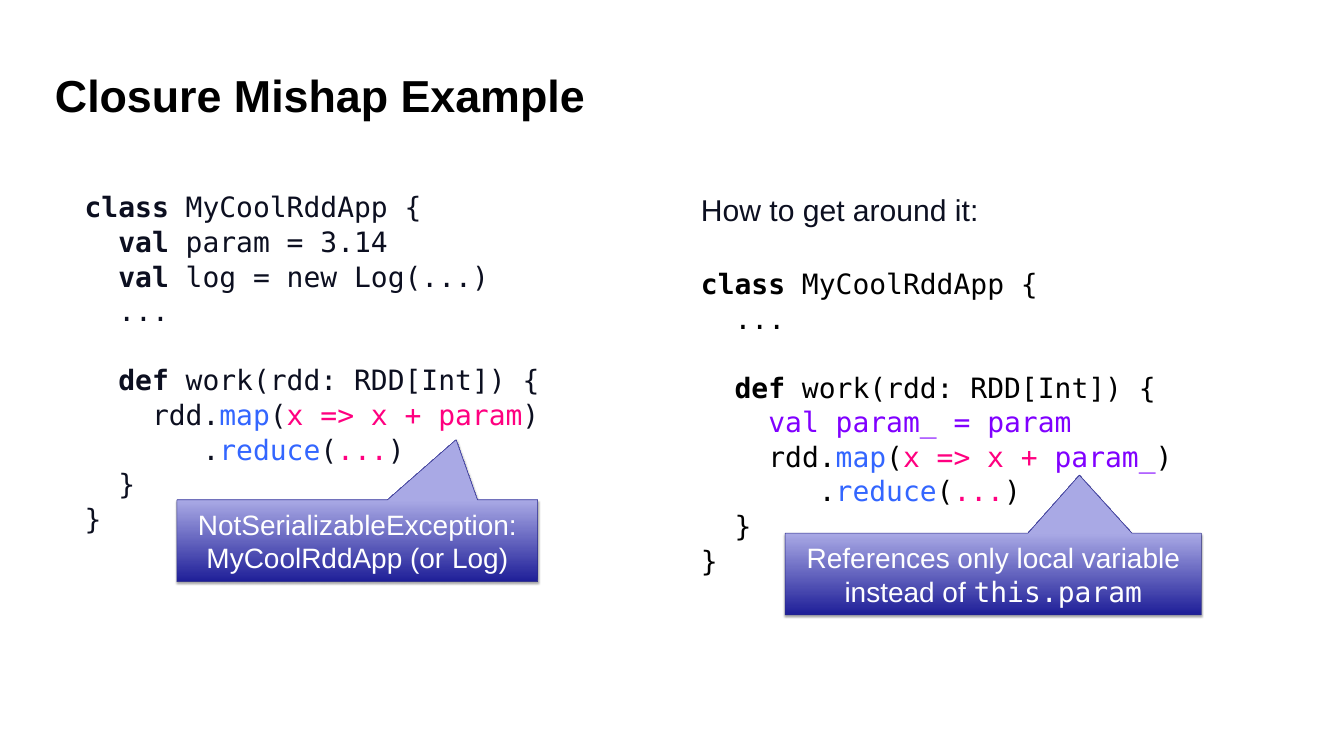
from lxml.etree import SubElement
from pptx import Presentation
from pptx.dml.color import RGBColor
from pptx.enum.shapes import MSO_SHAPE as Shape
from pptx.enum.text import MSO_ANCHOR as Anchor, MSO_AUTO_SIZE as AutoSize, PP_ALIGN as Align
from pptx.oxml.ns import qn
from pptx.util import Inches, Pt

SANS, MONO = "Arial", "DejaVu Sans Mono"
COLORS = {
    "navy": "0C0F20", "black": "000000", "white": "FFFFFF",
    "method": "3366FF", "closure": "FF0080", "local": "8000FF",
    "deep": "1F1F98", "pale": "A9A9E5", "border": "2A2A89",
}

TITLE = "Closure Mishap Example"
REDUCE = [("       .",), ("reduce", "method"), ("(",), ("...", "closure"), (")",)]
CLASS = [("class ", "keyword"), ("MyCoolRddApp {",)]
WORK = [("  ",), ("def", "keyword"), (" work(rdd: RDD[Int]) {",)]
ENDING = [REDUCE, [("  }",)], [("}",)]]

MISHAP_CODE = [
    CLASS,
    [("  ",), ("val ", "keyword"), ("param = 3.14",)],
    [("  ",), ("val", "keyword"), (" log = new Log(...)",)],
    [("  ...",)],
    [],
    WORK,
    [("    rdd.",), ("map", "method"), ("(",), ("x => x + param", "closure"), (")",)],
    *ENDING,
]
FIXED_CODE = [
    CLASS,
    [("  ...",)],
    [],
    WORK,
    [("    ",), ("val param_ = param", "local")],
    [("    rdd.",), ("map", "method"), ("(",), ("x => x + ", "closure"),
     ("param_", "local"), (")",)],
    *ENDING,
]
HEADING = [[("How to get around it:",)]]

PANELS = [
    ((1.33, 3.75, 11.78, 9.9), [(MISHAP_CODE, 40, MONO, "navy", 18)]),
    ((13.56, 3.78, 11.78, 9.9), [(HEADING, 43, SANS, "navy", 18),
                                 (FIXED_CODE, 40, MONO, "black", 54)]),
]
CALLOUTS = [
    ((3.51, 9.92, 7.16, 1.62), (0.274, -1.239),
     [[("NotSerializableException:",)], [("MyCoolRddApp (or Log)",)]]),
    ((15.58, 10.58, 8.26, 1.62), (0.207, -1.211),
     [[("References only local variable instead of ",), ("this.param", "code")]]),
]


def rgb(name):
    return RGBColor.from_string(COLORS[name])


def place(part, box):
    part.left, part.top, part.width, part.height = map(Inches, box)


def set_frame(frame, anchor, horizontal, vertical):
    frame.word_wrap = True
    frame.auto_size = AutoSize.NONE
    frame.vertical_anchor = anchor
    frame.margin_left = frame.margin_right = Inches(horizontal)
    frame.margin_top = frame.margin_bottom = Inches(vertical)


def write(paragraph, lines, size, face, color):
    for number, line in enumerate(lines):
        if number:
            paragraph.add_line_break()
        for text, *style in line:
            run = paragraph.add_run()
            run.text = text
            run.font.size = Pt(size)
            run.font.name = MONO if "code" in style else face
            run.font.bold = "keyword" in style
            token = style[0] if style and style[0] in COLORS else color
            run.font.color.rgb = rgb(token)
    for line_break in paragraph._p.findall(qn("a:br")):
        props = SubElement(line_break, qn("a:rPr"), sz=str(size * 100))
        SubElement(props, qn("a:latin"), typeface=face)


def add_callout(slide, box, tip, lines):
    callout = slide.shapes.add_shape(Shape.RECTANGULAR_CALLOUT, *map(Inches, box))
    callout.adjustments[0], callout.adjustments[1] = tip
    callout.fill.gradient()
    callout.fill.gradient_angle = 90
    for stop, position, color in zip(callout.fill.gradient_stops, (0, 1), ("deep", "pale")):
        stop.position = position
        stop.color.rgb = rgb(color)
    callout.line.color.rgb = rgb("border")
    callout.line.width = Pt(0.75)
    callout.shadow.inherit = False
    effects = callout._element.spPr.find(qn("a:effectLst"))
    shadow = SubElement(effects, qn("a:outerShdw"), blurRad=str(Pt(3.1)),
                        dist=str(Pt(1.8)), dir="5400000", rotWithShape="0")
    shade = SubElement(shadow, qn("a:srgbClr"), val=COLORS["black"])
    SubElement(shade, qn("a:alpha"), val="35000")
    set_frame(callout.text_frame, Anchor.MIDDLE, 0.24, 0.12)
    paragraph = callout.text_frame.paragraphs[0]
    paragraph.alignment = Align.CENTER
    write(paragraph, lines, 40, SANS, "white")


def fill_panel(panel, box, blocks):
    place(panel, box)
    frame = panel.text_frame
    set_frame(frame, Anchor.TOP, 0, 0)
    for number, (lines, size, face, color, gap) in enumerate(blocks):
        paragraph = frame.add_paragraph() if number else frame.paragraphs[0]
        paragraph.space_before = Pt(gap)
        paragraph.line_spacing = 1.03
        props = paragraph._p.get_or_add_pPr()
        props.set("marL", str(Inches(0.35)))
        props.set("indent", "0")
        SubElement(props, qn("a:buNone"))
        write(paragraph, lines, size, face, color)


def main():
    deck = Presentation()
    deck.slide_width, deck.slide_height = Inches(26.67), Inches(15)
    slide = deck.slides.add_slide(deck.slide_layouts[3])
    title, *bodies = slide.placeholders

    place(title, (1.03, 1.01, 24.49, 1.74))
    set_frame(title.text_frame, Anchor.MIDDLE, 0.06, 0.06)
    heading = title.text_frame.paragraphs[0]
    heading.alignment = Align.LEFT
    write(heading, [[(TITLE, "keyword")]], 64, SANS, "black")

    for body, (box, blocks) in zip(bodies, PANELS):
        fill_panel(body, box, blocks)
    for box, tip, lines in CALLOUTS:
        add_callout(slide, box, tip, lines)
    deck.save("out.pptx")


if __name__ == "__main__":
    main()
